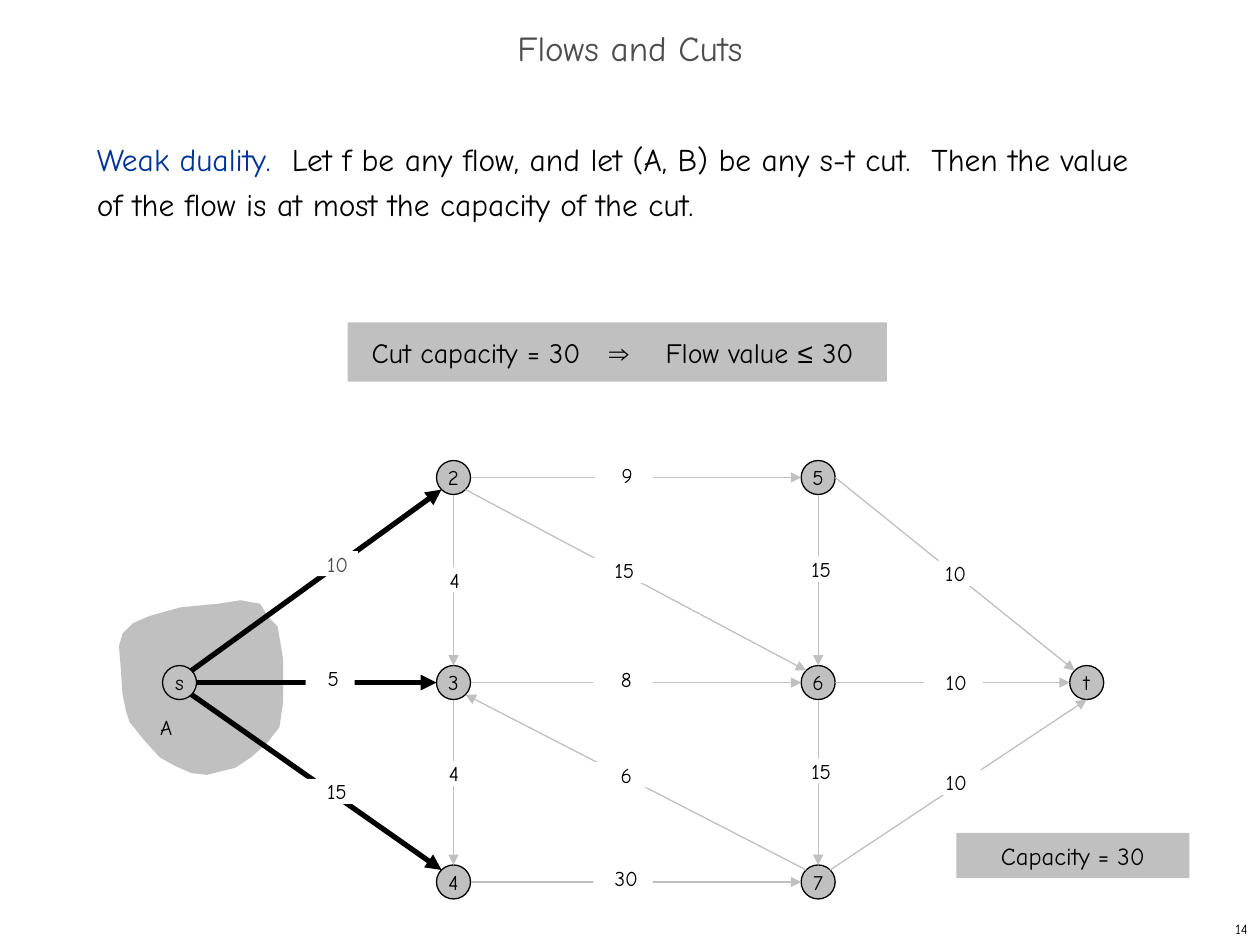
from math import sqrt

from lxml.etree import SubElement
from pptx import Presentation
from pptx.dml.color import RGBColor
from pptx.enum.shapes import MSO_CONNECTOR, MSO_SHAPE
from pptx.enum.text import MSO_ANCHOR, PP_ALIGN
from pptx.oxml.ns import qn
from pptx.util import Inches, Pt

BLACK = RGBColor(0x00, 0x00, 0x00)
WHITE = RGBColor(0xFF, 0xFF, 0xFF)
GRAY = RGBColor(0xC0, 0xC0, 0xC0)
DARK_GRAY = RGBColor(0x4D, 0x4D, 0x4D)
BLUE = RGBColor(0x00, 0x33, 0x99)
FONT, SYMBOL_FONT = "Comic Neue", "Arial"

W, H = 10, 7.5
NODE = 0.27
LABEL_W, LABEL_H = 0.47, 0.2

# Percentages of the network's width and height
COLS = (0, 30.2, 70.4, 100)
ROWS = (0, 50.7, 100)
NODES = {"s": (0, 1), "2": (1, 0), "3": (1, 1), "4": (1, 2),
         "5": (2, 0), "6": (2, 1), "7": (2, 2), "t": (3, 1)}
D = sqrt(0.5)
SIDES = {"n": (0, -1), "e": (1, 0), "s": (0, 1), "w": (-1, 0),
         "ne": (D, -D), "se": (D, D), "sw": (-D, D), "nw": (-D, -D)}

# Tail, its side, head, its side, capacity, label centre in percent
EDGES = (
    ("s", "ne", "2", "sw", "10", 16.4, 21.3),
    ("s", "e", "3", "w", "5", 16.6, 49.5),
    ("s", "se", "4", "nw", "15", 17, 77.6),
    ("3", "e", "6", "w", "8", 48.9, 49.8),
    ("7", "nw", "3", "se", "6", 48.9, 73.5),
    ("3", "s", "4", "n", "4", 29.9, 73.2),
    ("2", "e", "5", "w", "9", 49, -0.6),
    ("4", "e", "7", "w", "30", 48.9, 99.1),
    ("2", "s", "3", "n", "4", 30, 25.3),
    ("6", "s", "7", "n", "15", 70.4, 72.6),
    ("5", "s", "6", "n", "15", 70.4, 22.7),
    ("2", "se", "6", "nw", "15", 48.7, 23),
    ("5", "e", "t", "nw", "10", 84.5, 23.7),
    ("6", "e", "t", "w", "10", 85.3, 50.5),
    ("7", "ne", "t", "s", "10", 85.3, 75.4),
)
LABEL_WIDTHS = {"s3": 0.39}
LABEL_INDENTS = {"s2": 0.15, "5t": 0.15}

# Outline of cut set A, in percent of its box
CUT_OUTLINE = (
    (3, 20), (9, 14), (18, 10), (36, 5), (57, 3), (70, 1), (81, 3), (86, 11),
    (91, 16), (94, 34), (94, 59), (92, 73), (85, 82), (76, 90), (67, 96),
    (51, 100), (42, 99), (33, 95), (24, 90), (15, 80), (7, 70), (5, 64),
    (3, 54), (2, 39), (1, 27))


def add_runs(shape, runs, size, align=PP_ALIGN.CENTER, inset=(0, 0),
             anchor=MSO_ANCHOR.MIDDLE, wrap=True):
    """Fill a shape with one paragraph of (text, colour, font) runs."""
    tf = shape.text_frame
    tf.word_wrap, tf.vertical_anchor = wrap, anchor
    tf.margin_left = tf.margin_right = Inches(inset[0])
    tf.margin_top = tf.margin_bottom = Inches(inset[1])
    p = tf.paragraphs[0]
    p.alignment = align
    for text, color, font in runs:
        r = p.add_run()
        r.text = text
        r.font.size, r.font.name = Pt(size), font
        r.font.color.rgb = color
    return p


def add_text(s, box, runs, size, **layout):
    return add_runs(s.shapes.add_textbox(*map(Inches, box)), runs, size, **layout)


def add_filled(s, kind, box, color, outline=None):
    sp = s.shapes.add_shape(kind, *map(Inches, box))
    sp.shadow.inherit = False
    sp.fill.solid()
    sp.fill.fore_color.rgb = color
    if outline is None:
        sp.line.fill.background()
    else:
        sp.line.color.rgb, sp.line.width = outline, Pt(0.75)
    return sp


def add_arrow(s, start, end, color, width):
    c = s.shapes.add_connector(MSO_CONNECTOR.STRAIGHT, *map(Inches, start + end))
    c.line.color.rgb, c.line.width = color, Pt(width)
    SubElement(c.line._get_or_add_ln(), qn("a:tailEnd"), type="triangle")
    SubElement(c._element.spPr, qn("a:effectLst"))


def draw_heading(s, x, y, w, h):
    p = add_text(s, (x, y, w, h), [("Flows and Cuts", DARK_GRAY, FONT)], 20,
                 inset=(0.1, 0.05))
    p.line_spacing = 0.7


def draw_statement(s, x, y, w, h):
    runs = [("Weak duality.", BLUE, FONT),
            ("  Let f be any flow, and let (A, B) be any s-t cut.  Then the value "
             "of the flow is at most the capacity of the cut.", BLACK, FONT)]
    p = add_text(s, (x, y, w, h), runs, 18, align=PP_ALIGN.LEFT,
                 inset=(0.1, 0.05), anchor=MSO_ANCHOR.TOP)
    p.line_spacing = Pt(26)


def draw_bound(s, x, y, w, h):
    sp = add_filled(s, MSO_SHAPE.RECTANGLE, (x, y, w, h), GRAY)
    runs = [("Cut capacity = 30\t", BLACK, FONT), ("⇒", BLACK, SYMBOL_FONT),
            ("\tFlow value ", BLACK, FONT), ("≤", BLACK, SYMBOL_FONT),
            (" 30", BLACK, FONT)]
    p = add_runs(sp, runs, 16, align=PP_ALIGN.LEFT, inset=(0.19, 0.1))
    tabs = SubElement(p._p.get_or_add_pPr(), qn("a:tabLst"))
    for share in (0.44, 0.545):
        SubElement(tabs, qn("a:tab"), pos=str(Inches(w * share)), algn="l")


def draw_cut(s, x, y, w, h):
    points = [(Inches(x + w * px / 100), Inches(y + h * py / 100))
              for px, py in CUT_OUTLINE]
    builder = s.shapes.build_freeform(*points[0])
    builder.add_line_segments(points[1:], close=True)
    sp = builder.convert_to_shape()
    sp.shadow.inherit = False
    sp.fill.solid()
    sp.fill.fore_color.rgb = GRAY
    sp.line.fill.background()


def draw_network(s, x, y, w, h):
    """Draw nodes, arrows and capacities; the box joins the outer node centres."""
    def at(px, py):
        return x + w * px / 100, y + h * py / 100

    def rim(name, side):
        return tuple(c + NODE / 2 * d for c, d in zip(centers[name], SIDES[side]))

    centers = {name: at(COLS[c], ROWS[r]) for name, (c, r) in NODES.items()}
    for name, (cx, cy) in centers.items():
        box = (cx - NODE / 2, cy - NODE / 2, NODE, NODE)
        sp = add_filled(s, MSO_SHAPE.OVAL, box, GRAY, BLACK)
        add_runs(sp, [(name, BLACK, FONT)], 12, wrap=False)
    for tail, out, head, into, *_ in EDGES:
        color, width = (BLACK, 3) if tail == "s" else (GRAY, 0.75)
        add_arrow(s, rim(tail, out), rim(head, into), color, width)
    for tail, _, head, _, capacity, px, py in EDGES:
        edge = tail + head
        cx, cy = at(px, py)
        width = LABEL_WIDTHS.get(edge, LABEL_W)
        box = (cx - width / 2, cy - LABEL_H / 2, width, LABEL_H)
        sp = add_filled(s, MSO_SHAPE.RECTANGLE, box, WHITE)
        color = DARK_GRAY if edge == "s2" else BLACK
        add_runs(sp, [(capacity, color, FONT)], 12)
        sp.text_frame.margin_left = Inches(LABEL_INDENTS.get(edge, 0.05))


def draw_capacity(s, x, y, w, h):
    sp = add_filled(s, MSO_SHAPE.RECTANGLE, (x, y, w, h), GRAY)
    add_runs(sp, [("Capacity = 30", BLACK, FONT)], 14, inset=(0.1, 0.1))


def main():
    prs = Presentation()
    prs.slide_width, prs.slide_height = Inches(W), Inches(H)
    s = prs.slides.add_slide(prs.slide_layouts[6])
    add_text(s, (7.92, 7.25, 2.08, 0.25), [("14", BLACK, FONT)], 8,
             align=PP_ALIGN.RIGHT, inset=(0.1, 0.05))
    draw_heading(s, 0, 0.17, W, 0.5)
    draw_statement(s, 0.67, 1, 8.58, 5.92)
    draw_bound(s, 2.76, 2.56, 4.28, 0.47)
    draw_cut(s, 0.93, 4.75, 1.4, 1.4)
    draw_network(s, 1.425, 3.79, 7.2, 3.21)
    draw_capacity(s, 7.59, 6.61, 1.85, 0.36)
    add_text(s, (1.27, 5.67, 0.1, 0.2), [("A", BLACK, FONT)], 12, wrap=False)
    prs.save("out.pptx")


if __name__ == "__main__":
    main()
